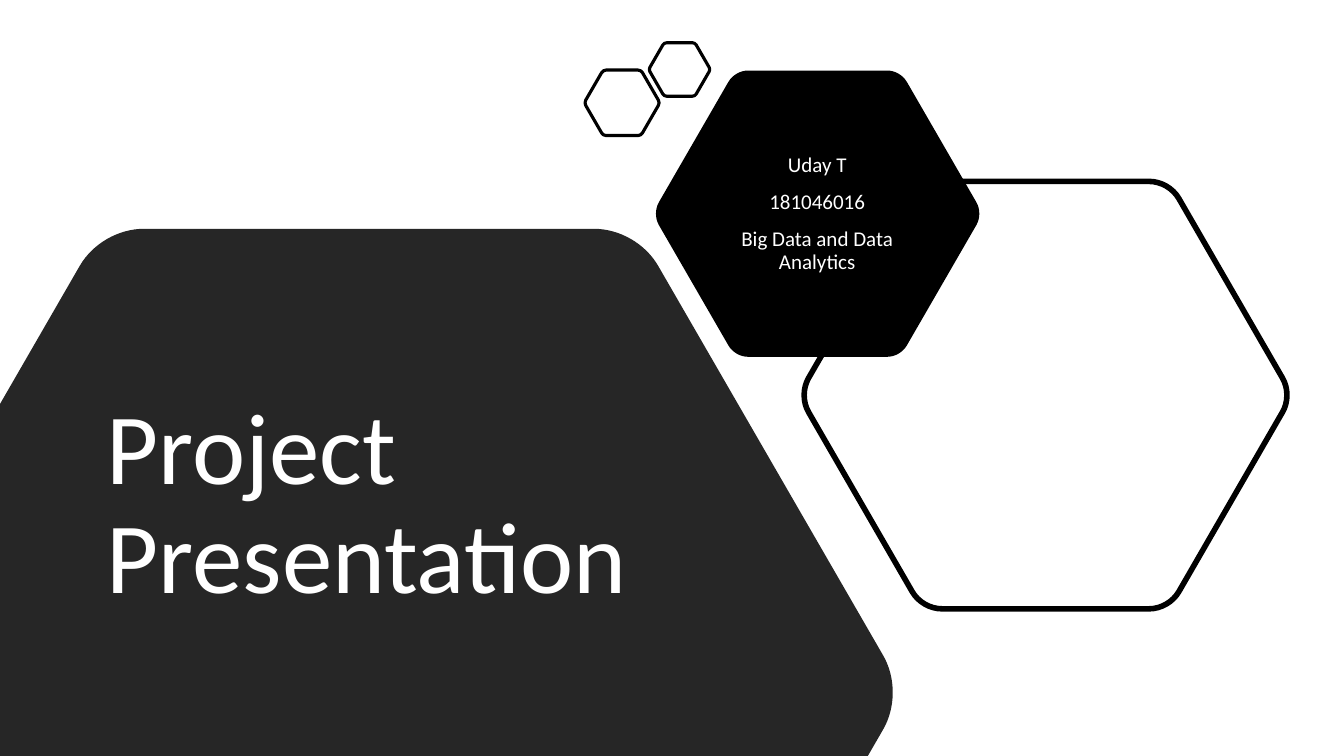
import math

import lxml.etree
import pptx
import pptx.dml.color
import pptx.enum.text
import pptx.oxml.ns
import pptx.util

Inches = pptx.util.Inches
Pt = pptx.util.Pt
ALIGN = pptx.enum.text.PP_ALIGN
qn = pptx.oxml.ns.qn

BLACK = pptx.dml.color.RGBColor(0x00, 0x00, 0x00)
CHARCOAL = pptx.dml.color.RGBColor(0x26, 0x26, 0x26)
WHITE = pptx.dml.color.RGBColor(0xFF, 0xFF, 0xFF)

SLIDE_WIDTH, SLIDE_HEIGHT = 13.33, 7.5
FONT = "Calibri"
CORNER_CUT = 0.08
CORNER_PULL = 0.6

TITLE = ["Project Presentation"]
TITLE_BOX = (0.96, 3.24, 5.6, 3.57)
AUTHOR = ["Uday T", "181046016", "Big Data and Data Analytics"]
AUTHOR_BOX = (6.89, 1.47, 2.43, 1.31)

LARGE_HEXAGONS = [
    {"center": (10.37, 3.92), "height": 4.24, "line_width": 4},
    {"center": (8.11, 2.12), "height": 2.84, "fill": BLACK},
    {"center": (3.66, 6.87), "height": 9.2, "fill": CHARCOAL},
]
SMALL_HEXAGONS = [
    {"center": (6.17, 1.02), "height": 0.65, "line_width": 2.25},
    {"center": (6.74, 0.69), "height": 0.53, "line_width": 2.25},
]


def between(start, end, share):
    """Return the point at a given share of the way between two points."""
    return tuple(a + share * (b - a) for a, b in zip(start, end))


def rounded_hexagon(center, height):
    """Return the outline of a round-cornered hexagon and its curve handles."""
    side = height / math.sqrt(3)
    tips = [
        (center[0] + side * math.cos(corner * math.pi / 3),
         center[1] + side * math.sin(corner * math.pi / 3))
        for corner in range(6)
    ]
    points, handles = [], []
    for corner, tip in enumerate(tips):
        start = between(tip, tips[corner - 1], CORNER_CUT)
        end = between(tip, tips[(corner + 1) % 6], CORNER_CUT)
        pair = [between(start, tip, CORNER_PULL), between(end, tip, CORNER_PULL)]
        points += [start, *pair, end]
        handles += pair
    return points, handles


def clip(points, axis, limit, sign):
    """Keep the part of an outline on one side of a slide edge."""
    kept = []
    for start, end in zip(points, points[1:] + points[:1]):
        start_gap = sign * (start[axis] - limit)
        end_gap = sign * (end[axis] - limit)
        if start_gap >= 0:
            kept.append(start)
        if start_gap * end_gap < 0:
            kept.append(between(start, end, start_gap / (start_gap - end_gap)))
    return kept


def curve_corners(hexagon, outline, handles):
    """Turn each corner's three straight steps into one cubic curve."""
    steps = list(hexagon.element.iter(qn("a:lnTo")))
    first_handles = [i for i, point in enumerate(outline[1:]) if point in handles][::2]
    for first in first_handles:
        curve = lxml.etree.Element(qn("a:cubicBezTo"))
        steps[first].addprevious(curve)
        for step in steps[first:first + 3]:
            curve.append(step[0])
            step.getparent().remove(step)


def add_hexagon(shapes, center, height, fill=None, line_width=None):
    """Draw a rounded hexagon, cut at the slide's left and bottom edges."""
    outline, handles = rounded_hexagon(center, height)
    outline = clip(clip(outline, 0, 0, 1), 1, SLIDE_HEIGHT, -1)
    points = [(Inches(x), Inches(y)) for x, y in outline]
    builder = shapes.build_freeform(*points[0])
    builder.add_line_segments(points[1:], close=True)
    hexagon = builder.convert_to_shape()
    curve_corners(hexagon, outline, handles)
    hexagon.shadow.inherit = False
    if fill is None:
        hexagon.fill.background()
    else:
        hexagon.fill.solid()
        hexagon.fill.fore_color.rgb = fill
    if line_width is None:
        hexagon.line.fill.background()
    else:
        hexagon.line.color.rgb = BLACK
        hexagon.line.width = Pt(line_width)


def write_text(box, lines, position, size, align, space_before=0):
    """Place a text box in front and fill it with formatted paragraphs."""
    box.left, box.top, box.width, box.height = map(Inches, position)
    box.element.getparent().append(box.element)
    frame = box.text_frame
    frame.word_wrap = True
    frame.auto_size = pptx.enum.text.MSO_AUTO_SIZE.NONE
    frame.vertical_anchor = pptx.enum.text.MSO_ANCHOR.MIDDLE
    for index, line in enumerate(lines):
        para = frame.add_paragraph() if index else frame.paragraphs[0]
        para.alignment = align
        para.line_spacing = 0.9
        para.space_before = Pt(space_before)
        span = para.add_run()
        span.text = line
        span.font.name = FONT
        span.font.size = Pt(size)
        span.font.color.rgb = WHITE


def main():
    """Build the title slide and save it."""
    deck = pptx.Presentation()
    deck.slide_width = Inches(SLIDE_WIDTH)
    deck.slide_height = Inches(SLIDE_HEIGHT)
    page = deck.slides.add_slide(deck.slide_layouts[0])
    for hexagon in LARGE_HEXAGONS:
        add_hexagon(page.shapes, **hexagon)
    write_text(page.shapes.title, TITLE, TITLE_BOX, 72, ALIGN.LEFT)
    write_text(page.placeholders[1], AUTHOR, AUTHOR_BOX, 15, ALIGN.CENTER, space_before=10)
    small_group = page.shapes.add_group_shape()
    for hexagon in SMALL_HEXAGONS:
        add_hexagon(small_group.shapes, **hexagon)
    deck.save("out.pptx")


if __name__ == "__main__":
    main()
